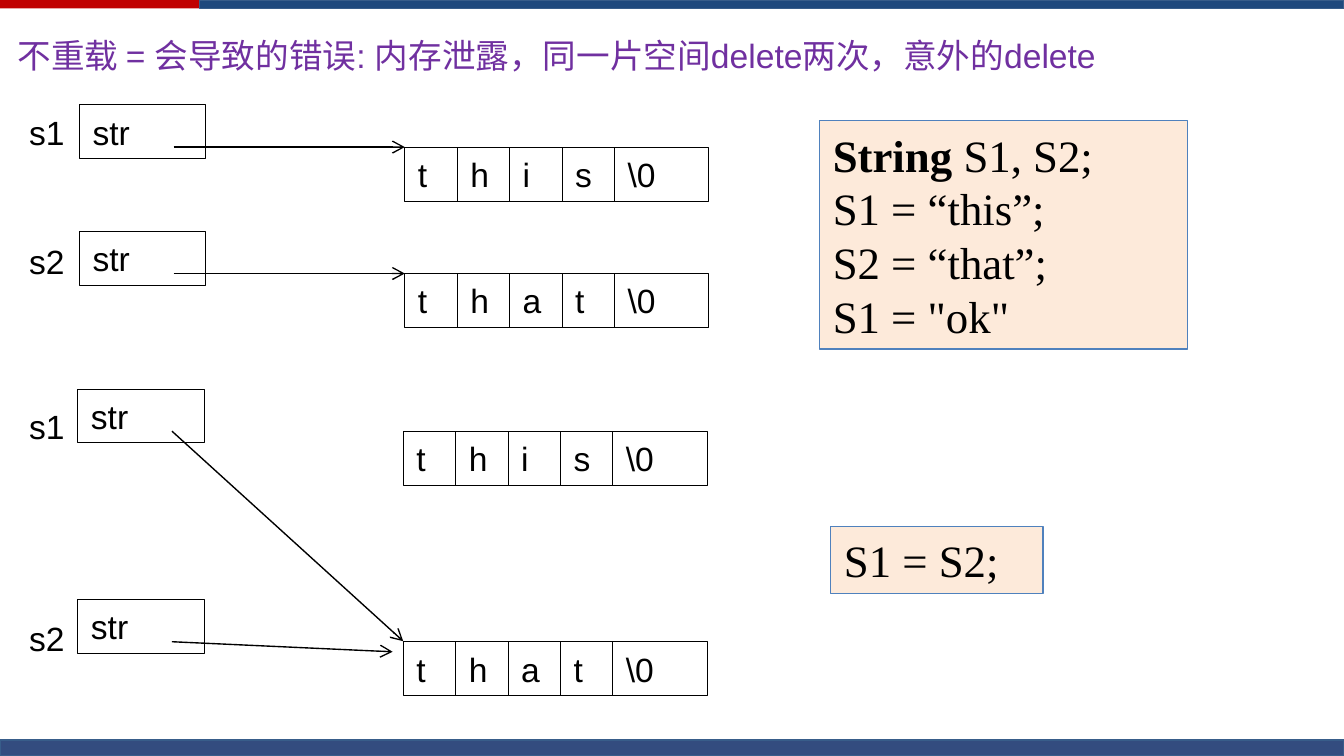
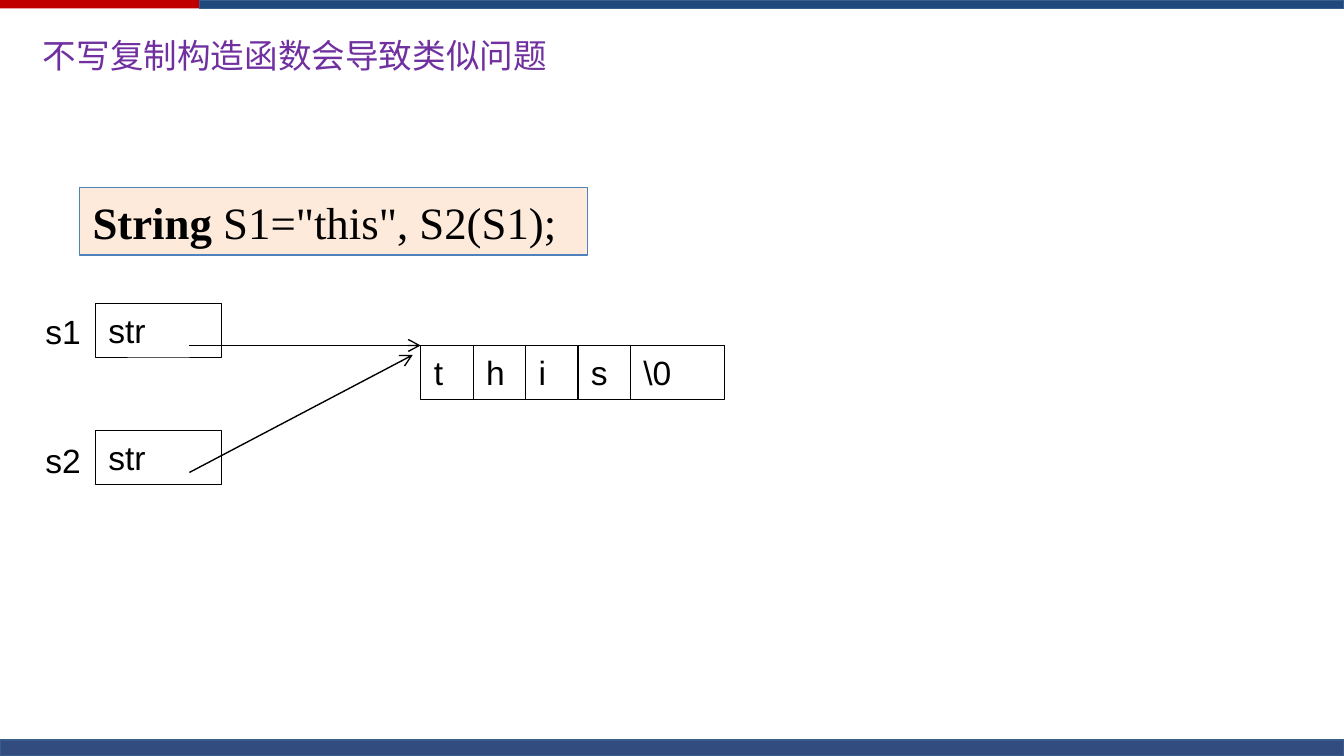
from collections import namedtuple

import pptx
import pptx.dml.color
import pptx.enum.dml
import pptx.enum.shapes
import pptx.enum.text
import pptx.oxml
import pptx.oxml.ns
import pptx.util
from pptx.util import Cm


class Theme:
    red, blue, navy, band_edge = "C00000", "1F497D", "002060", "385D8A"
    title, ink, panel, panel_edge = "7030A0", "000000", "FDEADA", "4F81BD"
    sans, serif = "Arial", "Times New Roman"
    text_size, code_size = 18, 24
    hairline, box_line, line = 0, 0.25, 0.75


# left, top, width, height in cm; fill, edge, opacity in percent
BANDS = [
    (0, 0, 25.4, 0.16, Theme.red, None, 100),
    (3.77, 0, 21.63, 0.16, Theme.blue, Theme.band_edge, 100),
    (0, 13.99, 25.4, 0.3, Theme.navy, Theme.band_edge, 80),
]

# One String object: its label, its str box, the characters it allocated,
# and the arrow's end (None: the corner of its own characters)
Variable = namedtuple("Variable", "label label_box box chars arrow_end")
Code = namedtuple("Code", "bounds lines")  # each line: bold keyword, rest

SLIDES = [
    {
        "title": "不重载 = 会导致的错误: 内存泄露，同一片空间delete两次，意外的delete",
        "title_left": 0.08,
        "title_width": 21.95,
        "variables": [
            Variable("s1", (0.3, 1.98, 2.18), (1.5, 1.98), "this", None),
            Variable("s2", (0.3, 4.42, 2.18), (1.5, 4.37), "that", None),
            Variable("s1", (0.3, 7.54, 1.52), (1.47, 7.35), "this", (7.62, 12.12)),
            Variable("s2", (0.3, 11.56, 1.24), (1.47, 11.33), "that", (7.42, 12.32)),
        ],
        "codes": [
            Code((15.49, 2.28, 6.95, 4.32), [
                ("String ", "S1, S2;"),
                ("", "S1 = “this”;"),
                ("", "S2 = “that”;"),
                ("", 'S1 = "ok"'),
            ]),
            Code((15.7, 9.95, 4.01, 1.27), [("", "S1 = S2;")]),
        ],
    },
    {
        "title": "不写复制构造函数会导致类似问题",
        "title_left": 0.56,
        "title_width": 10.03,
        "variables": [
            Variable("s1", (0.61, 5.74, 2.18), (1.8, 5.73), "this", None),
            Variable("s2", (0.61, 8.18, 2.18), (1.8, 8.13), "", (7.8, 6.71)),
        ],
        "codes": [
            Code((1.5, 3.55, 9.6, 1.27), [("String ", 'S1="this", S2(S1);')]),
        ],
    },
]

ROW_HEIGHT = 1.02
STR_WIDTH, CHAR_WIDTH, END_WIDTH = 2.39, 0.99, 1.78
ARROW_DX, CHARS_DX, DROP = 1.78, 6.15, 0.8  # measured from the str box's corner


def rgb(color):
    return pptx.dml.color.RGBColor.from_string(color)


def style_run(span, color=Theme.ink, font=Theme.sans, size=Theme.text_size, bold=False):
    span.font.name = font
    span.font.size = pptx.util.Pt(size)
    span.font.bold = bold
    span.font.color.rgb = rgb(color)


def style_frame(frame, anchor=pptx.enum.text.MSO_ANCHOR.TOP, wrap=True):
    frame.word_wrap = wrap
    frame.auto_size = pptx.enum.text.MSO_AUTO_SIZE.SHAPE_TO_FIT_TEXT
    frame.vertical_anchor = anchor
    frame.margin_left = frame.margin_right = Cm(0.25)
    frame.margin_top = frame.margin_bottom = Cm(0.13)
    for para in frame.paragraphs:
        para.alignment = pptx.enum.text.PP_ALIGN.LEFT


def add_rectangle(page, bounds, fill=None, edge=None, weight=Theme.line):
    box = page.shapes.add_shape(
        pptx.enum.shapes.MSO_SHAPE.RECTANGLE, *map(Cm, bounds))
    box.shadow.inherit = False
    if fill:
        box.fill.solid()
        box.fill.fore_color.rgb = rgb(fill)
    else:
        box.fill.background()
    if edge:
        box.line.color.rgb = rgb(edge)
        box.line.width = pptx.util.Pt(weight)
    else:
        box.line.fill.background()
    return box


def write_label(box, text):
    box.text_frame.text = text
    style_frame(box.text_frame)
    style_run(box.text_frame.paragraphs[0].runs[0])


def add_cell(page, left, top, width, text):
    box = add_rectangle(page, (left, top, width, ROW_HEIGHT),
                        edge=Theme.ink, weight=Theme.box_line)
    write_label(box, text)


def add_arrow(page, start, end):
    arrow = page.shapes.add_connector(
        pptx.enum.shapes.MSO_CONNECTOR.STRAIGHT, *map(Cm, start + end))
    arrow.line.color.rgb = rgb(Theme.ink)
    arrow.line.width = pptx.util.Pt(Theme.line)
    properties = arrow.element.spPr
    outline = properties.find(pptx.oxml.ns.qn("a:ln"))
    head = pptx.oxml.parse_xml(
        f'<a:tailEnd {pptx.oxml.ns.nsdecls("a")} type="arrow"/>')
    outline.append(head)
    properties.append(
        pptx.oxml.parse_xml(f'<a:effectLst {pptx.oxml.ns.nsdecls("a")}/>'))


def add_variable(page, variable):
    left, top = variable.box
    add_cell(page, left, top, STR_WIDTH, "str")
    label = page.shapes.add_textbox(*map(Cm, variable.label_box + (ROW_HEIGHT,)))
    write_label(label, variable.label)
    corner = (left + CHARS_DX, top + DROP)
    add_arrow(page, (left + ARROW_DX, top + DROP), variable.arrow_end or corner)
    if variable.chars:
        for index, char in enumerate([*variable.chars, "\\0"]):
            width = END_WIDTH if char == "\\0" else CHAR_WIDTH
            add_cell(page, corner[0] + index * CHAR_WIDTH, corner[1], width, char)


def add_code(page, code):
    box = add_rectangle(page, code.bounds, Theme.panel, Theme.panel_edge)
    frame = box.text_frame
    for index, (keyword, rest) in enumerate(code.lines):
        para = frame.add_paragraph() if index else frame.paragraphs[0]
        for text, bold in ((keyword, True), (rest, False)):
            if text:
                span = para.add_run()
                span.text = text
                style_run(span, font=Theme.serif, size=Theme.code_size, bold=bold)
    style_frame(frame, pptx.enum.text.MSO_ANCHOR.MIDDLE)
    for para in frame.paragraphs:
        indent = para._p.get_or_add_pPr()
        indent.set("marL", str(Cm(1.27)))
        indent.set("indent", str(-Cm(1.27)))


def add_title(page, text, left, width):
    title = page.shapes.title
    title.left, title.top = Cm(left), Cm(0.53)
    title.width, title.height = Cm(width), Cm(ROW_HEIGHT)
    title.text_frame.text = text
    style_frame(title.text_frame, wrap=False)
    style_run(title.text_frame.paragraphs[0].runs[0], Theme.title)


def add_master_bands(deck, page):
    """Draw the bands on a page, then move them to the master all pages share."""
    for *bounds, fill, edge, opacity in BANDS:
        band = add_rectangle(page, bounds, fill, edge, Theme.hairline)
        if opacity < 100:
            color = band.element.spPr.find(
                f'{pptx.oxml.ns.qn("a:solidFill")}/{pptx.oxml.ns.qn("a:srgbClr")}')
            color.append(pptx.oxml.parse_xml(
                f'<a:alpha {pptx.oxml.ns.nsdecls("a")} val="{opacity * 1000}"/>'))
        deck.slide_master.shapes.element.append(band.element)


def main():
    deck = pptx.Presentation()
    deck.slide_width, deck.slide_height = Cm(25.4), Cm(14.29)
    title_only = deck.slide_layouts[5]
    for content in SLIDES:
        page = deck.slides.add_slide(title_only)
        add_title(page, content["title"], content["title_left"], content["title_width"])
        for variable in content["variables"]:
            add_variable(page, variable)
        for code in content["codes"]:
            add_code(page, code)
    add_master_bands(deck, deck.slides[0])
    deck.save("out.pptx")


if __name__ == "__main__":
    main()
